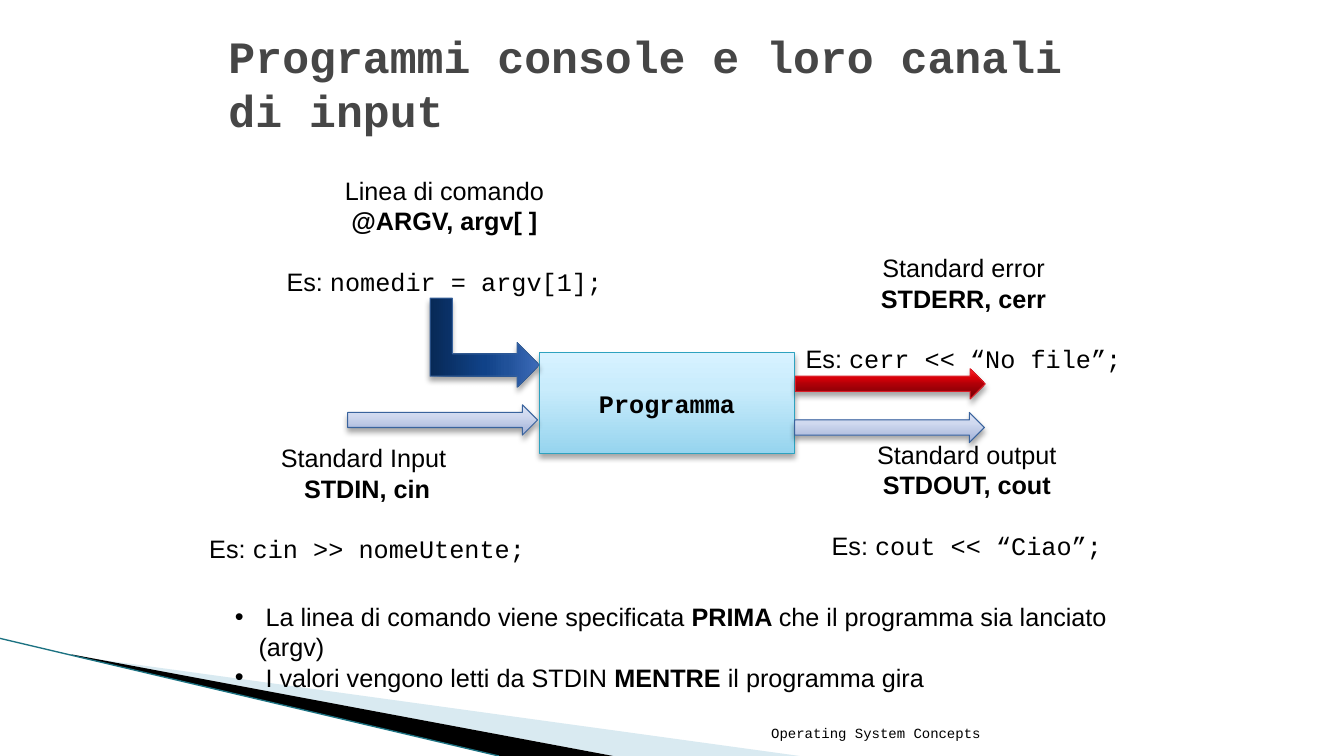
from lxml import etree
from pptx import Presentation
from pptx.dml.color import RGBColor
from pptx.enum.shapes import MSO_CONNECTOR, MSO_SHAPE
from pptx.enum.text import MSO_ANCHOR, MSO_AUTO_SIZE, PP_ALIGN
from pptx.oxml import parse_xml
from pptx.oxml.ns import nsdecls, qn
from pptx.util import Inches, Pt

LEFT, CENTER, RIGHT = PP_ALIGN.LEFT, PP_ALIGN.CENTER, PP_ALIGN.RIGHT
MIDDLE, BOTTOM = MSO_ANCHOR.MIDDLE, MSO_ANCHOR.BOTTOM
GROW, FIXED = MSO_AUTO_SIZE.SHAPE_TO_FIT_TEXT, MSO_AUTO_SIZE.NONE
RECTANGLE, RIGHT_ARROW = MSO_SHAPE.RECTANGLE, MSO_SHAPE.RIGHT_ARROW
ELBOW_ARROW = MSO_SHAPE.BENT_UP_ARROW
STRAIGHT = MSO_CONNECTOR.STRAIGHT

BLACK = RGBColor(0x00, 0x00, 0x00)
TITLE_GRAY = RGBColor(0x46, 0x46, 0x46)
PALE_BLUE = RGBColor(0xD9, 0xEA, 0xF1)
TEAL_LINE = RGBColor(0x1C, 0x72, 0x82)
BOX_LINE = RGBColor(0x2D, 0xA2, 0xBF)
BLUE_LINE = RGBColor(0x39, 0x63, 0x9D)
RED_LINE = RGBColor(0xDA, 0x1F, 0x28)

# Gradient stops run from bottom to top: (percent, colour)
SKY = [(0, RGBColor(0x96, 0xD4, 0xEE)), (65, RGBColor(0xC9, 0xEC, 0xFC)),
       (100, RGBColor(0xD7, 0xF2, 0xFF))]
NAVY = [(0, RGBColor(0x07, 0x29, 0x56)), (50, RGBColor(0x10, 0x42, 0x88)),
        (70, RGBColor(0x20, 0x51, 0x99)), (100, RGBColor(0x3D, 0x6B, 0xB9))]
LAVENDER = [(0, RGBColor(0x9F, 0xAF, 0xD6)), (65, RGBColor(0xD0, 0xD9, 0xEF)),
            (100, RGBColor(0xDC, 0xE3, 0xF6))]
RED = [(0, RGBColor(0x6D, 0x00, 0x05)), (50, RGBColor(0xB0, 0x00, 0x08)),
       (70, RGBColor(0xDA, 0x00, 0x08)), (100, RGBColor(0xFF, 0x24, 0x29))]

SANS, MONO = "Arial", "Courier New"

presentation = Presentation()
presentation.slide_width = Inches(13.33)
presentation.slide_height = Inches(7.5)
slide = presentation.slides.add_slide(presentation.slide_layouts[5])
shapes = slide.shapes

# The slide is a grid of 160 columns by 90 rows
COLUMN = presentation.slide_width / 160
ROW = presentation.slide_height / 90


def grid(*values):
    """Turn alternating column and row numbers into lengths."""
    return [round(value * (ROW if index % 2 else COLUMN))
            for index, value in enumerate(values)]


def add_run(paragraph, text, size=18, font=SANS, bold=False, color=BLACK):
    run = paragraph.add_run()
    run.text = text
    run.font.size = Pt(size)
    run.font.name = font
    run.font.bold = bold
    run.font.color.rgb = color


# Corner decoration
wedges = [
    (PALE_BLUE, [(8.8, 78.1), (95.2, 90), (73, 90), (8.8, 78)]),
    (BLACK, [(8.5, 77.9), (73, 90), (59.5, 90), (8.6, 78)]),
]
for color, corners in wedges:
    points = [grid(*corner) for corner in corners]
    builder = shapes.build_freeform(*points[0])
    builder.add_line_segments(points[1:])
    wedge = builder.convert_to_shape()
    wedge.shadow.inherit = False
    wedge.fill.solid()
    wedge.fill.fore_color.rgb = color
    wedge.line.fill.background()

edge = shapes.add_connector(STRAIGHT, *grid(0, 76, 59.4, 90))
edge.line.color.rgb = TEAL_LINE
edge.line.width = Pt(0.95)
etree.SubElement(edge._element.spPr, qn("a:effectLst"))

# Title
title = shapes.title
title.left, title.top, title.width, title.height = grid(26, 3.6, 108, 12.5)
title.text_frame.auto_size = FIXED
title.text_frame.vertical_anchor = MIDDLE
title.text_frame.paragraphs[0].alignment = LEFT
add_run(title.text_frame.paragraphs[0], "Programmi console e loro canali di input",
        32, MONO, True, TITLE_GRAY)

# Footer
footer = shapes.add_textbox(*grid(76.7, 84.1, 41.2, 4.8))
footer.text_frame.word_wrap = True
footer.text_frame.vertical_anchor = BOTTOM
footer.text_frame.paragraphs[0].alignment = RIGHT
add_run(footer.text_frame.paragraphs[0], "Operating System Concepts", 10, MONO)

# Program box and its channels
blocks = [
    (RECTANGLE, (64.2, 42, 30.4, 12), 0, SKY, BOX_LINE, "Programma"),
    (ELBOW_ARROW, (52.4, 34.3, 10.6, 13), 90, NAVY, BLUE_LINE, ""),
    (RIGHT_ARROW, (41.4, 48.2, 22.6, 3.6), 0, LAVENDER, BLUE_LINE, ""),
    (RIGHT_ARROW, (94.6, 49.1, 22.6, 3.6), 0, LAVENDER, BLUE_LINE, ""),
    (RIGHT_ARROW, (94.7, 43.9, 22.6, 3.6), 0, RED, RED_LINE, ""),
]
for preset, place, rotation, stops, line_color, label in blocks:
    block = shapes.add_shape(preset, *grid(*place))
    block.rotation = rotation
    block.line.color.rgb = line_color
    block.line.width = Pt(0.75)
    block.shadow.inherit = False
    properties = block._element.spPr

    # Upward gradient
    stop_xml = "".join(
        f'<a:gs pos="{percent * 1000}"><a:srgbClr val="{color}"/></a:gs>'
        for percent, color in stops)
    properties.find(qn("a:prstGeom")).addnext(parse_xml(
        f'<a:gradFill rotWithShape="1" {nsdecls("a")}><a:gsLst>{stop_xml}</a:gsLst>'
        '<a:lin ang="16200000" scaled="0"/></a:gradFill>'))

    # Soft shadow below
    properties.find(qn("a:effectLst")).append(parse_xml(
        f'<a:outerShdw blurRad="{Pt(4)}" dist="{Pt(3)}" dir="5400000" '
        f'rotWithShape="0" {nsdecls("a")}><a:srgbClr val="{BLACK}">'
        '<a:alpha val="35000"/></a:srgbClr></a:outerShdw>'))

    if label:
        block.text_frame.vertical_anchor = MIDDLE
        block.text_frame.paragraphs[0].alignment = CENTER
        add_run(block.text_frame.paragraphs[0], label, font=MONO, bold=True)

# Channel captions: name, identifiers, example
captions = [
    ((23.6, 52.1, 40.2, 15.7), "Standard Input ", "STDIN, cin", "cin >> nomeUtente;"),
    ((97.7, 51.7, 34.8, 15.7), "Standard output", "STDOUT, cout", "cout << “Ciao”;"),
    ((94.6, 29.5, 40.2, 15.7), "Standard error", "STDERR, cerr", "cerr << “No file”;"),
    ((32.8, 20.3, 40.2, 15.7), "Linea di comando", "@ARGV, argv[ ]", "nomedir = argv[1];"),
]
for place, channel, identifiers, example in captions:
    text_frame = shapes.add_textbox(*grid(*place)).text_frame
    text_frame.word_wrap = False
    text_frame.auto_size = GROW
    name_line = text_frame.paragraphs[0]
    identifier_line = text_frame.add_paragraph()
    example_line = text_frame.add_paragraph()
    example_line.space_before = Pt(21.6)
    for paragraph in text_frame.paragraphs:
        paragraph.alignment = CENTER
    add_run(name_line, channel)
    add_run(identifier_line, identifiers, bold=True)
    add_run(example_line, "Es: ")
    add_run(example_line, example, font=MONO)

# Bulleted remarks
remarks = [
    (" La linea di comando viene specificata ", "PRIMA ",
     "che il programma sia lanciato (argv)"),
    (" I valori vengono letti da STDIN ", "MENTRE", " il programma gira"),
]
text_frame = shapes.add_textbox(*grid(26.8, 71, 113, 8.5)).text_frame
text_frame.word_wrap = True
for index, (before, stressed, after) in enumerate(remarks):
    paragraph = text_frame.add_paragraph() if index else text_frame.paragraphs[0]
    indent = round(2.8 * COLUMN)
    bullet = paragraph._p.get_or_add_pPr()
    bullet.set("marL", str(indent))
    bullet.set("indent", str(-indent))
    etree.SubElement(bullet, qn("a:buFont")).set("typeface", SANS)
    etree.SubElement(bullet, qn("a:buChar")).set("char", "•")
    add_run(paragraph, before)
    add_run(paragraph, stressed, bold=True)
    add_run(paragraph, after)

presentation.save("out.pptx")
